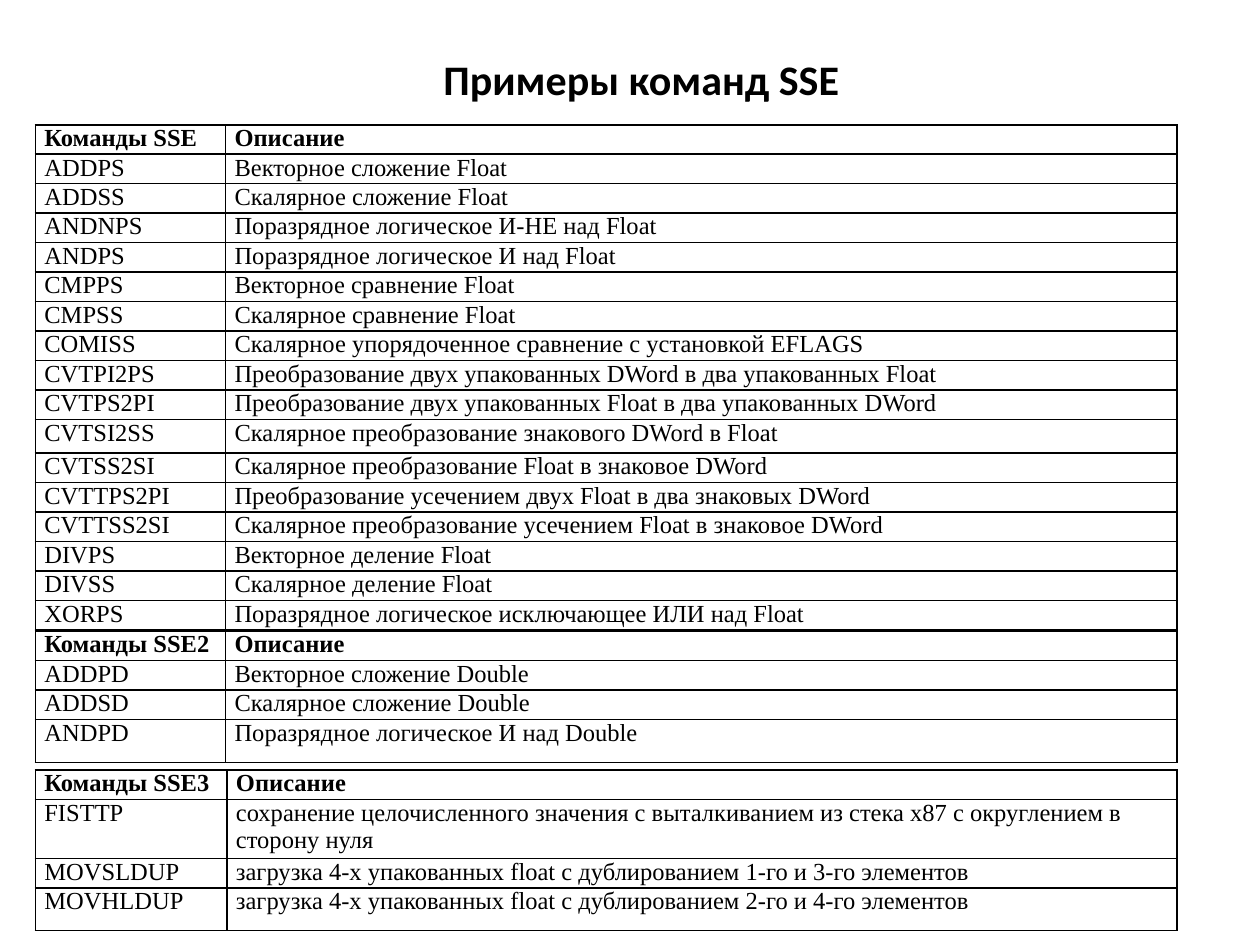
import pptx
import pptx.dml.color
import pptx.enum.text
import pptx.oxml.ns
import pptx.util
from lxml import etree

Pt = pptx.util.Pt
qn = pptx.oxml.ns.qn

COLORS = {"ink": "000000"}
TITLE = "Примеры команд SSE"
HEAD = "Описание"
LEFT, WIDTH = 20.16, 652.32
LINE = 15.5  # height of a row with one line of text

# "tall" holds the rows that differ from LINE
TABLES = [
    {"top": 71.3, "first": 108.7, "tall": {10: 19.2}, "rows": [
        ("Команды SSE", HEAD),
        ("ADDPS", "Векторное сложение Float"),
        ("ADDSS", "Скалярное сложение Float"),
        ("ANDNPS", "Поразрядное логическое И-НЕ над Float"),
        ("ANDPS", "Поразрядное логическое И над Float"),
        ("CMPPS", "Векторное сравнение Float"),
        ("CMPSS", "Скалярное сравнение Float"),
        ("COMISS", "Скалярное упорядоченное сравнение с установкой EFLAGS"),
        ("CVTPI2PS", "Преобразование двух упакованных DWord в два упакованных Float"),
        ("CVTPS2PI", "Преобразование двух упакованных Float в два упакованных DWord"),
        ("CVTSI2SS", "Скалярное преобразование знакового DWord в Float"),
        ("CVTSS2SI", "Скалярное преобразование Float в знаковое DWord"),
        ("CVTTPS2PI", "Преобразование усечением двух Float в два знаковых DWord"),
        ("CVTTSS2SI", "Скалярное преобразование усечением Float в знаковое DWord"),
        ("DIVPS", "Векторное деление Float"),
        ("DIVSS", "Скалярное деление Float"),
        ("XORPS", "Поразрядное логическое исключающее ИЛИ над Float"),
    ]},
    {"top": 360.6, "first": 108.7, "tall": {3: 24.5}, "rows": [
        ("Команды SSE2", HEAD),
        ("ADDPD", "Векторное сложение Double"),
        ("ADDSD", "Скалярное сложение Double"),
        ("ANDPD", "Поразрядное логическое И над Double"),
    ]},
    {"top": 440, "first": 109.5, "tall": {0: 16.4, 1: 2 * LINE, 3: 24.5}, "rows": [
        ("Команды SSE3", HEAD),
        ("FISTTP", "сохранение целочисленного значения с выталкиванием "
                   "из стека x87 с округлением в сторону нуля"),
        ("MOVSLDUP", "загрузка 4-х упакованных float с дублированием 1-го и 3-го элементов"),
        ("MOVHLDUP", "загрузка 4-х упакованных float с дублированием 2-го и 4-го элементов"),
    ]},
]


def write(frame, text, font, size, bold):
    run = frame.paragraphs[0].add_run()
    run.text = text
    run.font.name, run.font.size, run.font.bold = font, Pt(size), bold
    run.font.color.rgb = pptx.dml.color.RGBColor.from_string(COLORS["ink"])


def frame_cell(cell):
    """Draw a thin line on all four sides of a cell."""
    props = cell._tc.get_or_add_tcPr()
    for spot, side in enumerate(("lnL", "lnR", "lnT", "lnB")):
        line = etree.Element(qn("a:" + side), w=str(Pt(1)))
        fill = etree.SubElement(line, qn("a:solidFill"))
        etree.SubElement(fill, qn("a:srgbClr"), val=COLORS["ink"])
        props.insert(spot, line)


def add_grid(slide, top, first, tall, rows):
    highs = [tall.get(i, LINE) for i in range(len(rows))]
    table = slide.shapes.add_table(
        len(rows), 2, Pt(LEFT), Pt(top), Pt(WIDTH), Pt(sum(highs))).table
    table.first_row = table.horz_banding = False
    for col, wide in zip(table.columns, (first, WIDTH - first)):
        col.width = Pt(wide)
    for i, (texts, high) in enumerate(zip(rows, highs)):
        table.rows[i].height = Pt(high)
        for cell, text in zip(table.rows[i].cells, texts):
            cell.margin_left = cell.margin_right = Pt(5.2)
            cell.margin_top = cell.margin_bottom = 0
            cell.fill.background()
            frame_cell(cell)
            write(cell.text_frame, text, "Times New Roman", 14, i == 0)


def main():
    deck = pptx.Presentation()
    deck.slide_width, deck.slide_height = Pt(720), Pt(540)
    slide = deck.slides.add_slide(deck.slide_layouts[6])
    box = slide.shapes.add_textbox(Pt(42.5), Pt(16.6), Pt(648), Pt(57))
    frame = box.text_frame
    frame.word_wrap = True
    frame.vertical_anchor = pptx.enum.text.MSO_ANCHOR.MIDDLE
    frame.paragraphs[0].alignment = pptx.enum.text.PP_ALIGN.CENTER
    write(frame, TITLE, "Calibri", 24, True)
    for grid in TABLES:
        add_grid(slide, **grid)
    deck.save("out.pptx")


if __name__ == "__main__":
    main()
